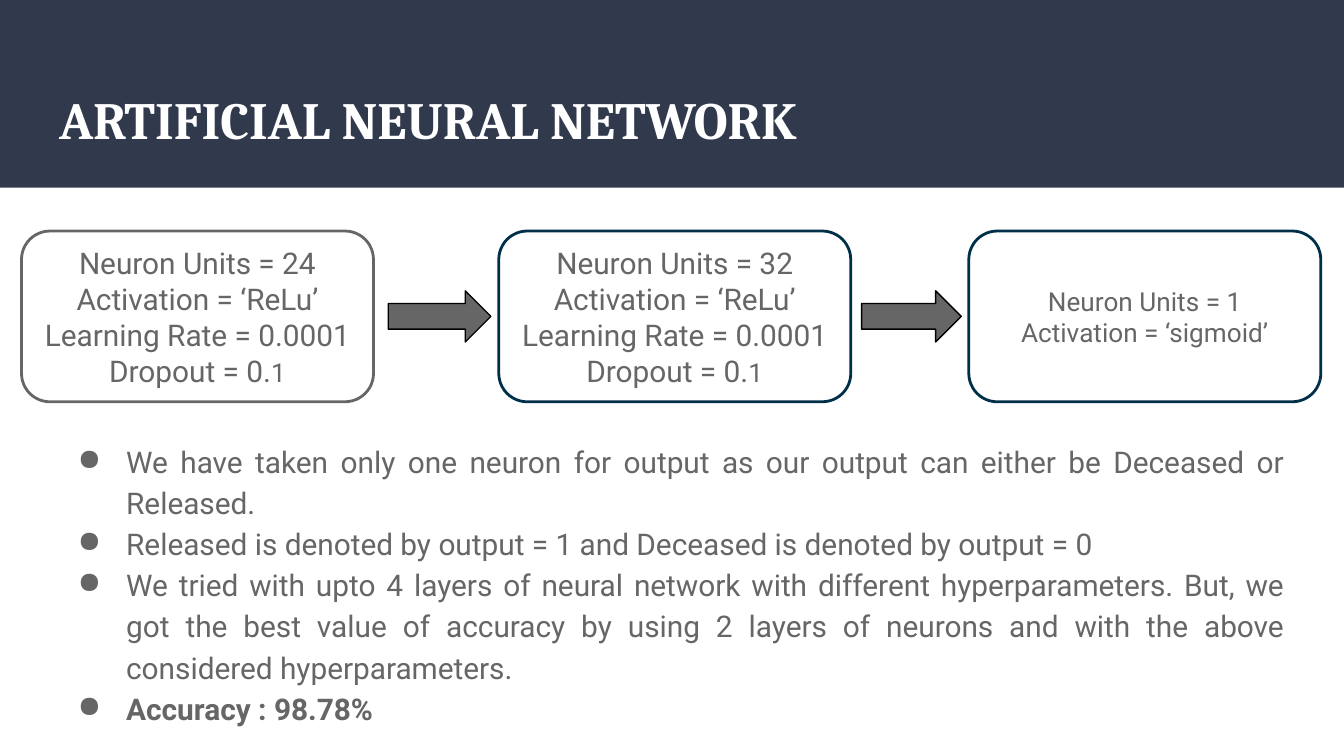
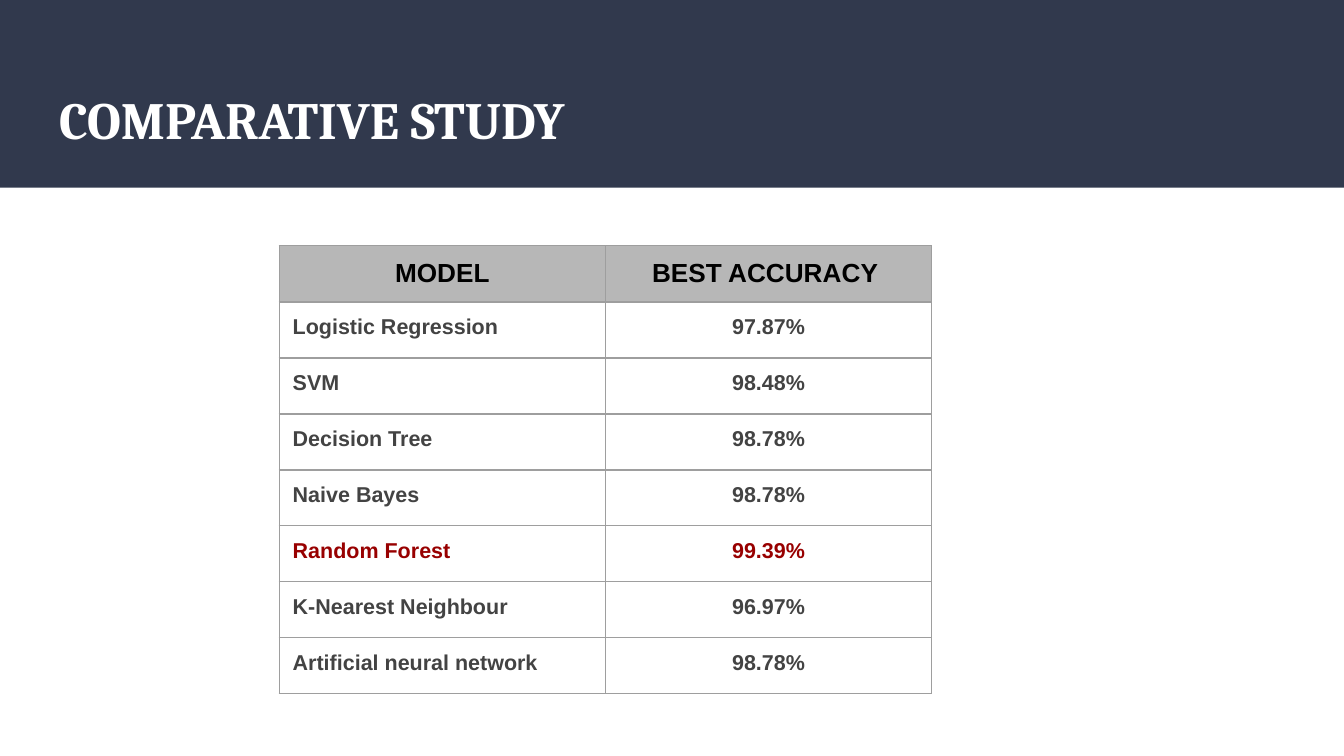
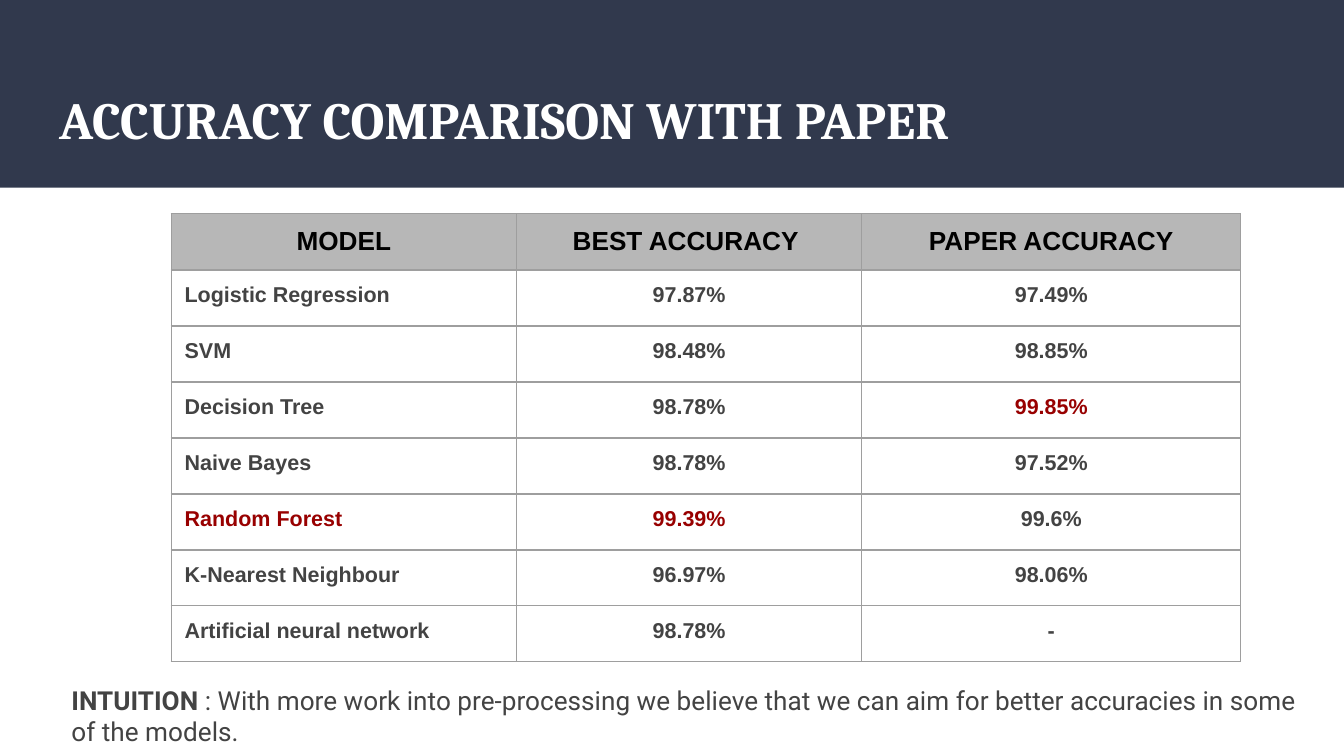
from lxml import etree
from pptx import Presentation
from pptx.dml.color import RGBColor
from pptx.enum import shapes, text
from pptx.oxml import ns
from pptx.util import Pt

NAVY = RGBColor(0x31, 0x39, 0x4D)
DEEP_BLUE = RGBColor(0x00, 0x2F, 0x4A)
WHITE = RGBColor(0xFF, 0xFF, 0xFF)
BLACK = RGBColor(0x00, 0x00, 0x00)
GREY = RGBColor(0x66, 0x66, 0x66)
DARK_GREY = RGBColor(0x43, 0x43, 0x43)
HEADER_GREY = RGBColor(0xB7, 0xB7, 0xB7)
BORDER_GREY = RGBColor(0x9E, 0x9E, 0x9E)
RED = RGBColor(0x98, 0x00, 0x00)

WIDTH, HEIGHT = 720, 405
MARGIN = 24.5
INSET = Pt(7.2)
ROW_HEIGHT = 30
CENTER, JUSTIFY, LEFT = text.PP_ALIGN.CENTER, text.PP_ALIGN.JUSTIFY, text.PP_ALIGN.LEFT

# Model, best accuracy, accuracy in the paper
RESULTS = [
    ("Logistic Regression", "97.87%", "97.49%"),
    ("SVM", "98.48%", "98.85%"),
    ("Decision Tree", "98.78%", "99.85%"),
    ("Naive Bayes", "98.78%", "97.52%"),
    ("Random Forest", "99.39%", "99.6%"),
    ("K-Nearest Neighbour", "96.97%", "98.06%"),
    ("Artificial neural network", "98.78%", "-"),
]
HEADINGS = ("MODEL", "BEST ACCURACY ", "PAPER ACCURACY")
BEST_RESULTS = {"Random Forest", "99.39%", "99.85%"}


def points(*lengths):
    return [Pt(length) for length in lengths]


def sub(parent, tag, **attributes):
    return etree.SubElement(parent, ns.qn(tag), attributes)


def write(frame, paragraphs, size=16, font="Roboto", color=GREY, bold=False,
          align=LEFT, spacing=None, bullet=None):
    """Each paragraph is a string or a list of (text, size, bold) runs."""
    for i, content in enumerate(paragraphs):
        paragraph = frame.paragraphs[0] if i == 0 else frame.add_paragraph()
        paragraph.alignment = align
        if spacing:
            paragraph.line_spacing = spacing
        if bullet:
            add_bullet(paragraph, bullet, color)
        runs = [(content, size, bold)] if isinstance(content, str) else content
        for words, run_size, run_bold in runs:
            run = paragraph.add_run()
            run.text = words
            run.font.size, run.font.bold = Pt(run_size), run_bold
            run.font.name, run.font.color.rgb = font, color


def add_bullet(paragraph, symbol, color):
    properties = paragraph._p.get_or_add_pPr()
    properties.set("marL", str(Pt(36)))
    properties.set("indent", str(Pt(-26)))
    sub(sub(properties, "a:buClr"), "a:srgbClr", val=str(color))
    sub(properties, "a:buChar", char=symbol)


def set_frame(frame, anchor=text.MSO_ANCHOR.TOP):
    frame.word_wrap = True
    frame.auto_size = text.MSO_AUTO_SIZE.NONE
    frame.vertical_anchor = anchor
    frame.margin_left = frame.margin_right = INSET
    frame.margin_top = frame.margin_bottom = INSET
    return frame


def add_text(slide, box, paragraphs, **style):
    textbox = slide.shapes.add_textbox(*points(*box))
    write(set_frame(textbox.text_frame), paragraphs, **style)


def add_outlined(slide, preset, box, line, line_width, fill=None):
    shape = slide.shapes.add_shape(preset, *points(*box))
    shape.shadow.inherit = False
    if fill is None:
        shape.fill.background()
    else:
        shape.fill.solid()
        shape.fill.fore_color.rgb = fill
    shape.line.color.rgb = line
    shape.line.width = Pt(line_width)
    return shape


def add_layer(slide, left, line, paragraphs, size):
    layer = add_outlined(slide, shapes.MSO_SHAPE.ROUNDED_RECTANGLE,
                         (left, 123.8, 188.6, 91.5), line, 1.5)
    frame = set_frame(layer.text_frame, text.MSO_ANCHOR.MIDDLE)
    write(frame, paragraphs, size=size, align=CENTER)


def add_title_slide(deck, title):
    slide = deck.slides.add_slide(deck.slide_layouts[5])
    # Band behind the title
    band = add_outlined(slide, shapes.MSO_SHAPE.RECTANGLE, (0, 0, WIDTH, 100.5),
                        NAVY, 0.75, NAVY)
    band.line.fill.background()
    slide.shapes.element.insert(2, band.element)
    # Title
    heading = slide.shapes.title
    heading.left, heading.top, heading.width, heading.height = points(
        MARGIN, 39.5, WIDTH - 2 * MARGIN, 49)
    write(set_frame(heading.text_frame), [title], size=28, font="Cambria",
          color=WHITE, bold=True)
    return slide


def set_borders(cell):
    properties = cell._tc.get_or_add_tcPr()
    for side in ("a:lnL", "a:lnR", "a:lnT", "a:lnB"):
        border = sub(properties, side, w=str(Pt(0.75)))
        sub(sub(border, "a:solidFill"), "a:srgbClr", val=str(BORDER_GREY))


def add_results(slide, left, top, widths):
    rows = [row[:len(widths)] for row in [HEADINGS] + RESULTS]
    table = slide.shapes.add_table(
        len(rows), len(widths),
        *points(left, top, sum(widths), ROW_HEIGHT * len(rows))).table
    table.first_row = table.horz_banding = False
    for column, width in zip(table.columns, widths):
        column.width = Pt(width)
    for r, row in enumerate(rows):
        table.rows[r].height = Pt(ROW_HEIGHT)
        for c, value in enumerate(row):
            cell = table.cell(r, c)
            cell.margin_left = cell.margin_right = INSET
            cell.margin_top = cell.margin_bottom = INSET
            set_borders(cell)
            if r == 0:
                cell.fill.solid()
                cell.fill.fore_color.rgb = HEADER_GREY
                size, color = 14, BLACK
            else:
                cell.fill.background()
                size, color = 11.5, RED if value in BEST_RESULTS else DARK_GREY
            write(cell.text_frame, [value], size=size, font="Arial", color=color,
                  bold=True, align=LEFT if r and c == 0 else CENTER)


def add_network_slide(deck):
    slide = add_title_slide(deck, "ARTIFICIAL NEURAL NETWORK")
    add_text(slide, (MARGIN, 227.5, WIDTH - 2 * MARGIN, 84.5), [
        "We have taken only one neuron for output as our output can either be "
        "Deceased or Released.",
        "Released is denoted by output = 1 and Deceased is denoted by output = 0 ",
        "We tried with upto 4 layers of neural network with different "
        "hyperparameters. But, we got the best value of accuracy by using 2 layers "
        "of neurons and with the above considered hyperparameters. ",
        [("Accuracy : 98.78%", 16, True)],
    ], align=JUSTIFY, spacing=1.15, bullet="●")

    # Hidden layers and output layer
    for left, line, units in ((11.5, GREY, 24), (267.2, DEEP_BLUE, 32)):
        add_layer(slide, left, line, [
            f"Neuron Units = {units}", "Activation = ‘ReLu’",
            "Learning Rate = 0.0001",
            [("Dropout = 0.", 16, False), ("1", 14, False)]], 16)
    add_layer(slide, 519, DEEP_BLUE,
              ["Neuron Units = 1", "Activation = ‘sigmoid’"], 14)

    # Flow between the layers
    for left, width in ((208, 55), (461.6, 53.4)):
        add_outlined(slide, shapes.MSO_SHAPE.RIGHT_ARROW,
                     (left, 155.8, width, 27.4), BLACK, 0.75, GREY)


def main():
    deck = Presentation()
    deck.slide_width, deck.slide_height = points(WIDTH, HEIGHT)

    add_network_slide(deck)

    study = add_title_slide(deck, "COMPARATIVE STUDY")
    add_results(study, 149.6, 131.6, (174.75, 174.75))

    comparison = add_title_slide(deck, "ACCURACY COMPARISON WITH PAPER")
    add_results(comparison, 91.7, 114.5, (185, 185, 203))
    add_text(comparison, (31.2, 359.5, 675.5, 28), [[
        ("INTUITION", 14, True),
        (" : With more work into pre-processing we believe that we can aim for "
         "better accuracies in some of the models.", 14, False),
    ]], color=DARK_GREY)

    deck.save("out.pptx")


if __name__ == "__main__":
    main()
